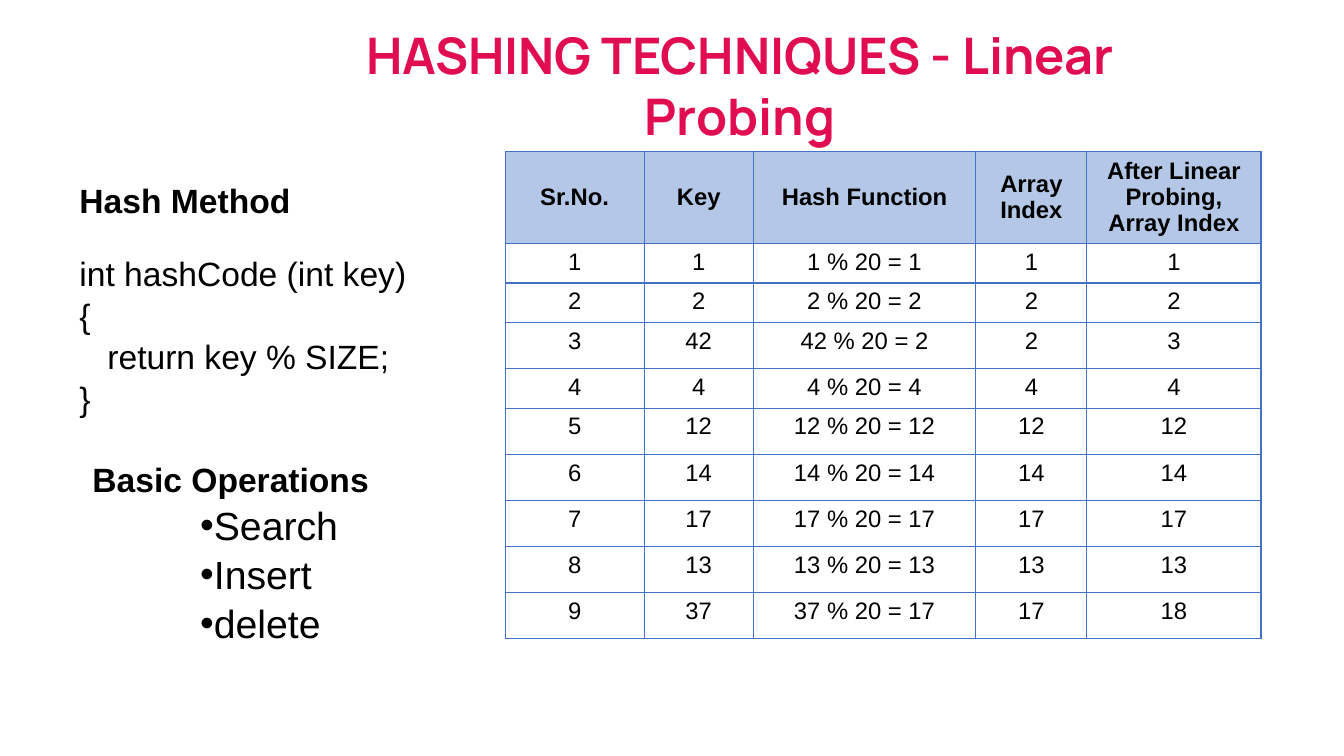
from dataclasses import dataclass
from typing import Any, Optional

import pptx
import pptx.dml.color
import pptx.enum.text
import pptx.oxml
import pptx.oxml.ns
import pptx.util

Pt = pptx.util.Pt
RGB = pptx.dml.color.RGBColor
ALIGN = pptx.enum.text.PP_ALIGN
ANCHOR = pptx.enum.text.MSO_ANCHOR


@dataclass(frozen=True)
class Theme:
    ink: RGB = RGB(0x00, 0x00, 0x00)
    title: RGB = RGB(0xE0, 0x0D, 0x50)
    header: RGB = RGB(0xB4, 0xC7, 0xE7)
    border: str = "4472C4"
    body_font: str = "Arial"
    title_font: str = "Manrope"
    title_size: float = 36
    list_size: float = 28
    text_size: float = 24
    table_size: float = 17


@dataclass(frozen=True)
class Line:
    text: str
    size: float
    bold: bool = False
    after: float = 0
    bullet: bool = False


@dataclass(frozen=True)
class Block:
    left: float
    top: float
    width: float
    height: float
    lines: tuple[Line, ...]


@dataclass(frozen=True)
class Column:
    heading: str
    width: float


THEME = Theme()
TABLE_SIZE = 20
KEYS = (1, 2, 42, 4, 12, 14, 17, 13, 37)
SHORT_ROW, TALL_ROW, HEADER_ROW = 28.3, 32.9, 65.7
SHORT_ROWS = (1, 2, 4)
CELL_MARGIN = 4.3

COLUMNS = (
    Column("Sr.No.", 99.3),
    Column("Key", 78),
    Column("Hash Function", 159),
    Column("Array Index", 79.3),
    Column("After Linear Probing, Array Index", 124.4),
)

BLOCKS = (
    Block(49.7, 123.8, 290.9, 174.2, (
        Line("Hash Method", THEME.text_size, bold=True, after=22),
        Line("int hashCode (int key)", THEME.text_size),
        Line("{", THEME.text_size),
        Line("   return key % SIZE;", THEME.text_size),
        Line("}", THEME.text_size),
    )),
    Block(59, 323.3, 249, 138.2, (
        Line("Basic Operations", THEME.text_size, bold=True),
        *(Line(name, THEME.list_size, bullet=True) for name in ("Search", "Insert", "delete")),
    )),
)


def write(p: Any, text: str, *, size: float, bold: bool = False, color: RGB = THEME.ink,
          font: str = THEME.body_font, align: ALIGN = ALIGN.LEFT, after: float = 0,
          spacing: Optional[float] = None) -> None:
    p.alignment = align
    p.space_before = Pt(0)
    p.space_after = Pt(after)
    if spacing:
        p.line_spacing = spacing
    r = p.add_run()
    r.text = text
    r.font.size = Pt(size)
    r.font.bold = bold
    r.font.name = font
    r.font.color.rgb = color


def add_bullet(p: Any) -> None:
    pPr = p._p.get_or_add_pPr()
    pPr.set("marL", str(Pt(59)))
    pPr.set("indent", str(Pt(18)))
    ns = pptx.oxml.ns.nsdecls("a")
    pPr.append(pptx.oxml.parse_xml(f'<a:buFont {ns} typeface="{THEME.body_font}"/>'))
    pPr.append(pptx.oxml.parse_xml(f'<a:buChar {ns} char="•"/>'))


def add_block(slide: Any, block: Block) -> None:
    sp = slide.shapes.add_textbox(Pt(block.left), Pt(block.top), Pt(block.width), Pt(block.height))
    tf = sp.text_frame
    tf.word_wrap = True
    for i, line in enumerate(block.lines):
        p = tf.add_paragraph() if i else tf.paragraphs[0]
        write(p, line.text, size=line.size, bold=line.bold, after=line.after,
              align=ALIGN.JUSTIFY if line.bullet else ALIGN.LEFT, spacing=1.04)
        if line.bullet:
            p.level = 1
            add_bullet(p)


def add_borders(cell: Any) -> None:
    tcPr = cell._tc.get_or_add_tcPr()
    for side in ("lnL", "lnR", "lnT", "lnB"):
        tcPr.append(pptx.oxml.parse_xml(
            f'<a:{side} {pptx.oxml.ns.nsdecls("a")} w="{Pt(1)}"><a:solidFill>'
            f'<a:srgbClr val="{THEME.border}"/></a:solidFill></a:{side}>'))


def probe_rows() -> list[tuple[str, ...]]:
    taken: set[int] = set()
    rows = []
    for number, key in enumerate(KEYS, 1):
        index = slot = key % TABLE_SIZE
        while slot in taken:
            slot = (slot + 1) % TABLE_SIZE
        taken.add(slot)
        rows.append((str(number), str(key), f"{key} % {TABLE_SIZE} = {index}", str(index), str(slot)))
    return rows


def add_probe_table(slide: Any) -> None:
    rows = [tuple(c.heading for c in COLUMNS), *probe_rows()]
    heights = [HEADER_ROW] + [SHORT_ROW if n in SHORT_ROWS else TALL_ROW for n in range(1, len(rows))]
    table = slide.shapes.add_table(len(rows), len(COLUMNS), Pt(360.8), Pt(108.2),
                                   Pt(sum(c.width for c in COLUMNS)), Pt(sum(heights))).table
    table.first_row = table.horz_banding = False
    for column, spec_column in zip(table.columns, COLUMNS):
        column.width = Pt(spec_column.width)
    for i, values in enumerate(rows):
        table.rows[i].height = Pt(heights[i])
        for j, value in enumerate(values):
            cell = table.cell(i, j)
            cell.margin_left = cell.margin_right = Pt(CELL_MARGIN)
            cell.margin_top = cell.margin_bottom = Pt(CELL_MARGIN)
            cell.vertical_anchor = ANCHOR.TOP if i else ANCHOR.MIDDLE
            add_borders(cell)
            if i:
                cell.fill.background()
            else:
                cell.fill.solid()
                cell.fill.fore_color.rgb = THEME.header
            write(cell.text_frame.paragraphs[0], value, size=THEME.table_size,
                  bold=i == 0, align=ALIGN.CENTER, spacing=0.97)


def add_title(slide: Any, text: str) -> None:
    sp = slide.shapes.title
    sp.left, sp.top, sp.width, sp.height = Pt(183.6), Pt(13.7), Pt(689.8), Pt(94.3)
    tf = sp.text_frame
    tf.word_wrap = True
    tf.auto_size = pptx.enum.text.MSO_AUTO_SIZE.NONE
    tf.vertical_anchor = ANCHOR.TOP
    write(tf.paragraphs[0], text, size=THEME.title_size, bold=True, color=THEME.title,
          font=THEME.title_font, align=ALIGN.CENTER)


def main() -> None:
    prs = pptx.Presentation()
    prs.slide_width, prs.slide_height = Pt(960), Pt(540)
    slide = prs.slides.add_slide(prs.slide_layouts[5])
    add_title(slide, "HASHING TECHNIQUES - Linear Probing")
    add_probe_table(slide)
    for block in BLOCKS:
        add_block(slide, block)
    prs.save("out.pptx")


if __name__ == "__main__":
    main()
